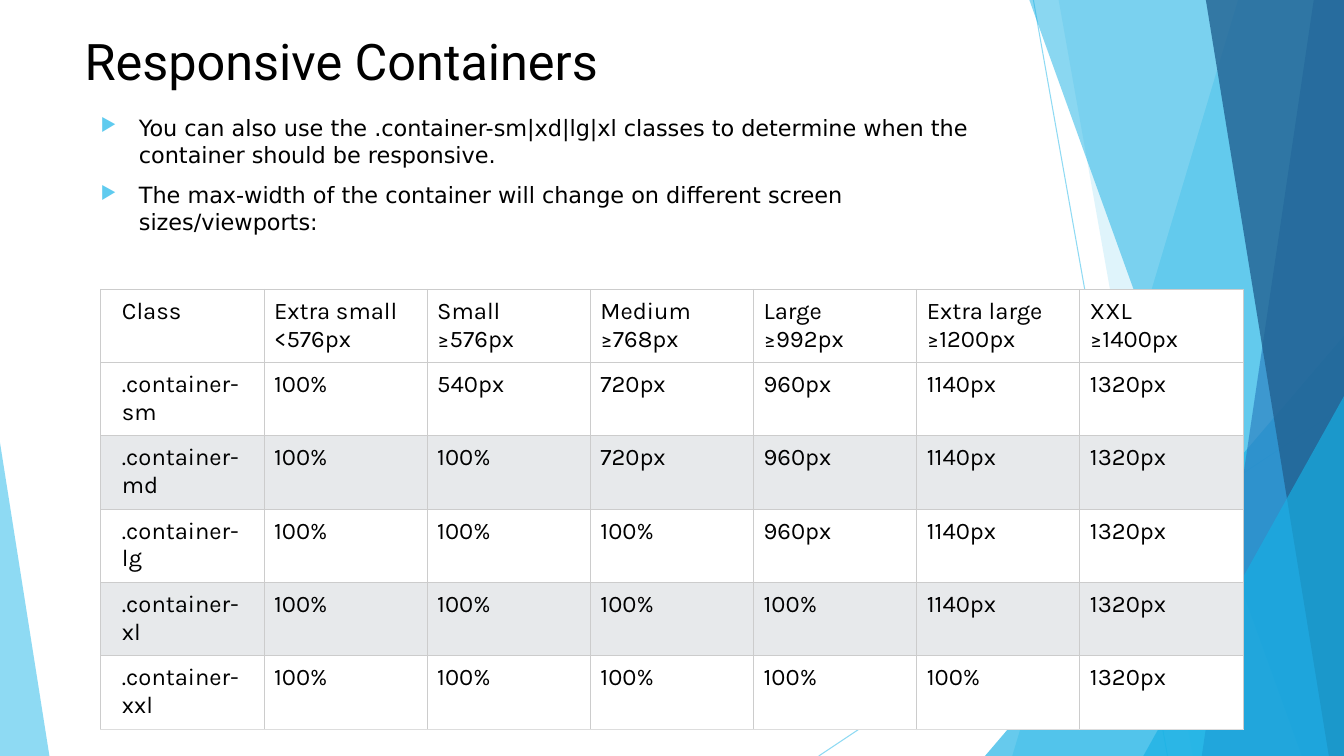
"""Build the Responsive Containers slide with its facet backdrop and width table."""
from lxml import etree
from pptx import Presentation
from pptx import util as u
from pptx.dml.color import RGBColor
from pptx.enum import shapes, text
from pptx.oxml import parse_xml
from pptx.oxml.ns import nsdecls, qn

HUES = {"sky": "5FCBEF", "cyan": "17B0E4", "blue": "2E83C3", "navy": "226292",
        "ink": "000000", "white": "FFFFFF", "band": "E7E9EB",
        "rule": "CCCCCC", "base": "DDDDDD"}

deck = Presentation()
deck.slide_width, deck.slide_height = u.Inches(13.33), u.Inches(7.5)
slide = deck.slides.add_slide(deck.slide_layouts[6])
parts = slide.shapes


def span(*shares):
    """Turn alternating width and height percentages into lengths."""
    sides = (deck.slide_width, deck.slide_height)
    return [u.Emu(round(sides[i % 2] * share / 100)) for i, share in enumerate(shares)]


def style(frame, look):
    """Give every run in the frame the same font."""
    for para in frame.paragraphs:
        for run in para.runs:
            for key, value in look.items():
                setattr(run.font, key, value)
            run.font.color.rgb = RGBColor.from_string(HUES["ink"])


backdrop = []
for ends in ((76.89, 0, 86.87, 100), (100, 53.73, 60.92, 100)):
    ray = parts.add_connector(shapes.MSO_CONNECTOR.STRAIGHT, *span(*ends))
    ray.line.width = u.Pt(0.75)
    ray.line.color.rgb = RGBColor.from_string(HUES["sky"])
    etree.SubElement(ray.element.spPr, qn("a:effectLst"))
    backdrop.append((ray, 70))

facets = [("quad", 92.12, 75.32, "sky", 36), ("quad", 78.77, 88.75, "sky", 20),
          ("right", 73.29, 44.4, "cyan", 66), ("quad", 76.59, 96.85, "cyan", 50),
          ("quad", 97.75, 89.42, "blue", 70), ("quad", 89.72, 98.87, "navy", 80),
          ("right", 85.07, 52.4, "cyan", 66), ("left", 3.68, 58.53, "sky", 70)]
for kind, first, second, hue, alpha in facets:
    if kind == "quad":
        pen = parts.build_freeform(*span(first, 0))
        pen.add_line_segments([span(100, 0), span(100, 100), span(second, 100)])
        facet = pen.convert_to_shape()
    else:
        left, wide = (first, 100 - first) if kind == "right" else (0, first)
        facet = parts.add_shape(shapes.MSO_SHAPE.ISOSCELES_TRIANGLE,
                                *span(left, second, wide, 100 - second))
        facet.adjustments[0] = 1 if kind == "right" else 0
    facet.shadow.inherit = False
    facet.fill.solid()
    facet.fill.fore_color.rgb = RGBColor.from_string(HUES[hue])
    facet.line.fill.background()
    backdrop.append((facet, alpha))

for piece, alpha in backdrop:
    for tint in piece.element.xpath(".//a:srgbClr"):
        etree.SubElement(tint, qn("a:alpha"), val=str(alpha * 1000))

boxes = [((5.55, 3.33, 70.52, 19.2), ["Responsive Containers"],
          {"name": "Roboto", "size": u.Pt(36)}),
         ((6.75, 14.4, 70.52, 56.53),
          ["You can also use the .container-sm|xd|lg|xl classes to determine "
           "when the container should be responsive.",
           "The max-width of the container will change on different screen sizes/viewports:"],
          {"name": "DejaVu Sans", "size": u.Pt(16)})]
for place, lines, look in boxes:
    frame = parts.add_textbox(*span(*place)).text_frame
    for key, value in {"word_wrap": True, "text": "\n".join(lines),
                       "vertical_anchor": text.MSO_ANCHOR.TOP}.items():
        setattr(frame, key, value)
    style(frame, look)

indent = u.Inches(0.38)
for para in frame.paragraphs:
    para.space_before = u.Pt(10)
    props = para._p.get_or_add_pPr()
    props.set("marL", str(indent))
    props.set("indent", str(-indent))
    for mark in (f'<a:buClr {nsdecls("a")}><a:srgbClr val="{HUES["sky"]}"/></a:buClr>',
                 f'<a:buSzPct {nsdecls("a")} val="80000"/>',
                 f'<a:buChar {nsdecls("a")} char="▶"/>'):
        props.append(parse_xml(mark))

heads = ["Class", "Extra small\v<576px", "Small\v≥576px", "Medium\v≥768px",
         "Large\v≥992px", "Extra large\v≥1200px", "XXL\v≥1400px"]
widths = ["540px", "720px", "960px", "1140px", "1320px"]
rows = [heads]
for step, size in enumerate(["sm", "md", "lg", "xl", "xxl"]):
    rows.append([f".container-{size}"] + ["100%"] * (step + 1) + widths[step:])

table = parts.add_table(len(rows), len(heads), *span(7.5, 38.27, 85, 57.14)).table
table.first_row = table.horz_banding = False
for r, row in enumerate(rows):
    for c, words in enumerate(row):
        cell = table.cell(r, c)
        for key, value in {"text": words, "margin_left": u.Inches(0.1 if c else 0.21),
                           "margin_right": u.Inches(0.1), "margin_top": u.Inches(0.08),
                           "margin_bottom": u.Inches(0.08)}.items():
            setattr(cell, key, value)
        style(cell.text_frame, {"name": "Karla", "size": u.Pt(17)})
        props = cell._tc.get_or_add_tcPr()
        for side in "LRTB":
            hue = "base" if side == "B" and row is rows[-1] else "rule"
            props.append(parse_xml(
                f'<a:ln{side} {nsdecls("a")} w="{u.Pt(0.75)}"><a:solidFill>'
                f'<a:srgbClr val="{HUES[hue]}"/></a:solidFill></a:ln{side}>'))
        cell.fill.solid()
        shade = "band" if r in (2, 4) else "white"
        cell.fill.fore_color.rgb = RGBColor.from_string(HUES[shade])

deck.save("out.pptx")
